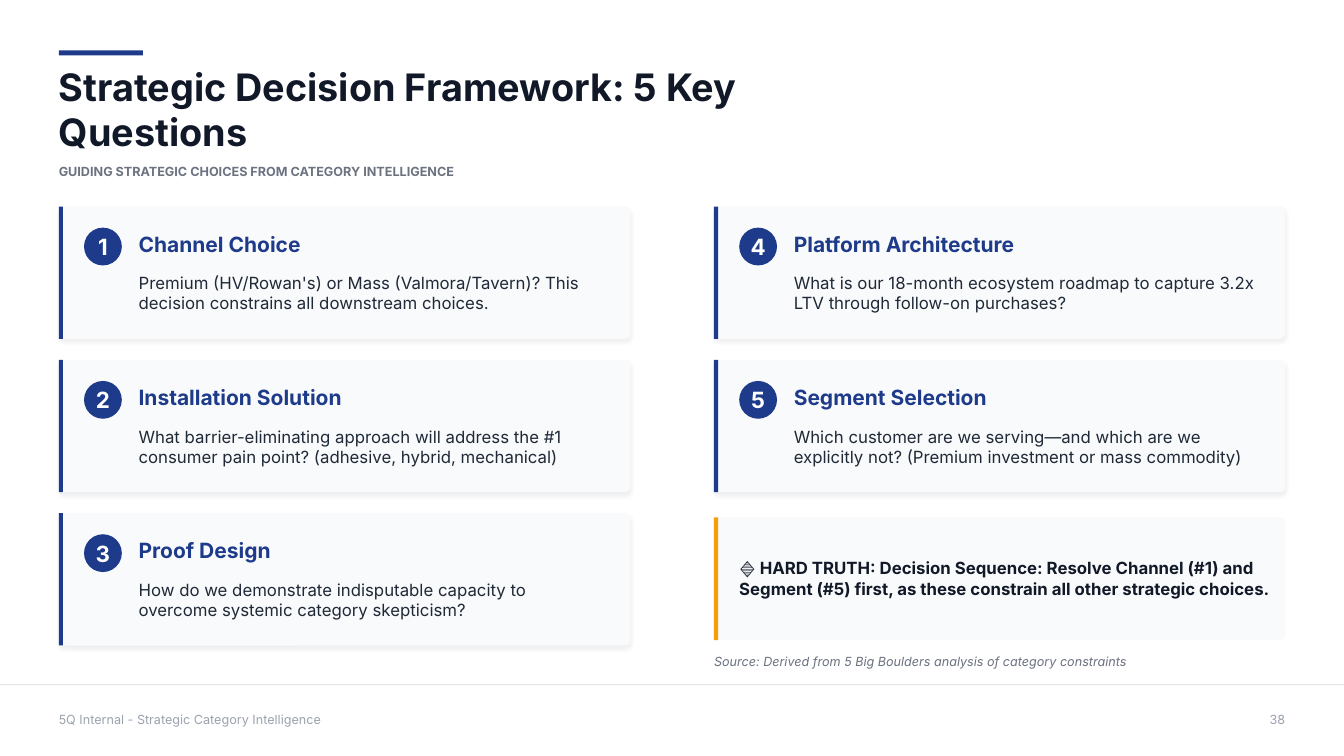
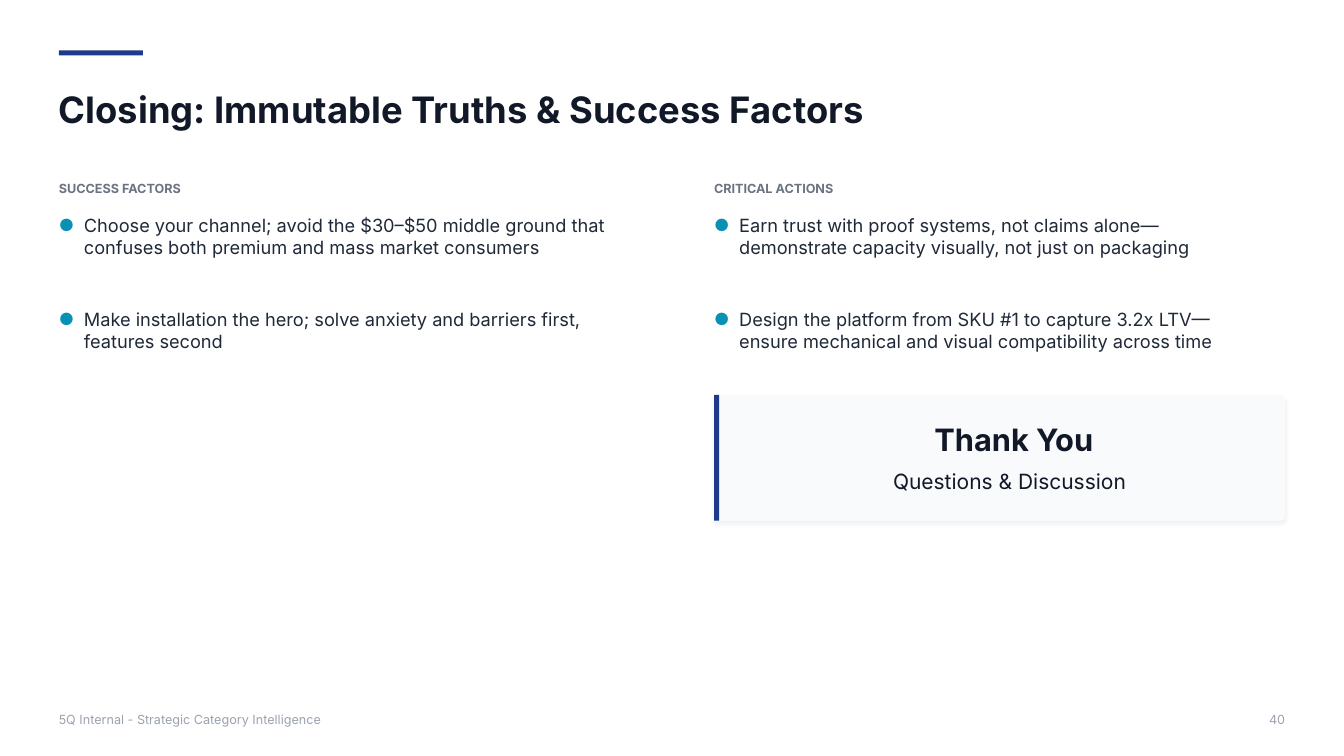
from dataclasses import dataclass

from lxml.etree import SubElement
from pptx import Presentation
from pptx.dml.color import RGBColor
from pptx.enum.shapes import MSO_SHAPE
from pptx.enum.text import MSO_ANCHOR, MSO_AUTO_SIZE, PP_ALIGN
from pptx.oxml.ns import qn
from pptx.presentation import Presentation as Deck
from pptx.shapes.autoshape import Shape
from pptx.slide import Slide
from pptx.text.text import TextFrame
from pptx.util import Emu, Inches, Pt

NAVY = RGBColor(0x1E, 0x3A, 0x8A)
INK = RGBColor(0x11, 0x18, 0x27)
BODY = RGBColor(0x1F, 0x29, 0x37)
MUTED = RGBColor(0x6B, 0x72, 0x80)
PALE = RGBColor(0x9C, 0xA3, 0xAF)
PANEL = RGBColor(0xF9, 0xFA, 0xFB)
RULE = RGBColor(0xE5, 0xE7, 0xEB)
AMBER = RGBColor(0xF5, 0x9E, 0x0B)
TEAL = RGBColor(0x08, 0x91, 0xB2)
WHITE = RGBColor(0xFF, 0xFF, 0xFF)

FONT = "Inter"
FOOTER = "5Q Internal - Strategic Category Intelligence"
GRID_COLUMNS, GRID_ROWS = 160, 90
UNIT = Inches(7.5) / GRID_ROWS
LEFT, RIGHT = 7, 85
COLUMN_WIDTH = 68
CARD_TOP, CARD_HEIGHT, CARD_PITCH = 24.6, 15.75, 18.25
CARDS_PER_COLUMN = 3


@dataclass(frozen=True)
class Area:
    left: float
    top: float
    width: float
    height: float

    def emu(self) -> tuple[Emu, Emu, Emu, Emu]:
        left, top, width, height = (
            Emu(round(length * UNIT))
            for length in (self.left, self.top, self.width, self.height)
        )
        return left, top, width, height


@dataclass(frozen=True)
class Style:
    size: float
    color: RGBColor
    bold: bool = False
    italic: bool = False
    align: PP_ALIGN = PP_ALIGN.LEFT


@dataclass(frozen=True)
class Question:
    heading: str
    detail: str


@dataclass(frozen=True)
class BulletColumn:
    left: float
    width: float
    heading: str
    points: tuple[str, ...]


LABEL = Style(9, MUTED, bold=True)
SOURCE = Style(9, MUTED, italic=True)
FOOTER_LEFT = Style(9, PALE)
FOOTER_RIGHT = Style(9, PALE, align=PP_ALIGN.RIGHT)
BADGE = Style(16, WHITE, bold=True, align=PP_ALIGN.CENTER)
HEADING = Style(15, NAVY, bold=True)
DETAIL = Style(12, BODY)
POINT = Style(13, BODY)
CALLOUT = Style(12, INK, bold=True)
THANKS = Style(22, INK, bold=True, align=PP_ALIGN.CENTER)
INVITATION = Style(15, INK, align=PP_ALIGN.CENTER)

QUESTIONS = (
    Question("Channel Choice",
             "Premium (HV/Rowan's) or Mass (Valmora/Tavern)? This decision "
             "constrains all downstream choices."),
    Question("Installation Solution",
             "What barrier-eliminating approach will address the #1 consumer "
             "pain point? (adhesive, hybrid, mechanical)"),
    Question("Proof Design",
             "How do we demonstrate indisputable capacity to overcome "
             "systemic category skepticism?"),
    Question("Platform Architecture",
             "What is our 18-month ecosystem roadmap to capture 3.2x LTV "
             "through follow-on purchases?"),
    Question("Segment Selection",
             "Which customer are we serving—and which are we explicitly not? "
             "(Premium investment or mass commodity)"),
)

BULLET_COLUMNS = (
    BulletColumn(LEFT, 67, "SUCCESS FACTORS", (
        "Choose your channel; avoid the $30–$50 middle ground that confuses "
        "both premium and mass market consumers",
        "Make installation the hero; solve anxiety and barriers first, "
        "features second",
    )),
    BulletColumn(RIGHT, 62, "CRITICAL ACTIONS", (
        "Earn trust with proof systems, not claims alone—demonstrate "
        "capacity visually, not just on packaging",
        "Design the platform from SKU #1 to capture 3.2x LTV—ensure "
        "mechanical and visual compatibility across time",
    )),
)


def write(frame: TextFrame, texts: tuple[str, ...], style: Style) -> None:
    frame.word_wrap = True
    frame.auto_size = MSO_AUTO_SIZE.NONE
    frame.vertical_anchor = MSO_ANCHOR.MIDDLE
    frame.margin_left = frame.margin_right = 0
    frame.margin_top = frame.margin_bottom = 0
    for index, text in enumerate(texts):
        para = frame.add_paragraph() if index else frame.paragraphs[0]
        para.alignment = style.align
        span = para.add_run()
        span.text = text
        span.font.name = FONT
        span.font.size = Pt(style.size)
        span.font.bold = style.bold
        span.font.italic = style.italic
        span.font.color.rgb = style.color


def add_text(page: Slide, area: Area, style: Style, *texts: str) -> TextFrame:
    box = page.shapes.add_textbox(*area.emu())
    write(box.text_frame, texts, style)
    return box.text_frame


def add_block(page: Slide, area: Area, fill: RGBColor,
              kind: MSO_SHAPE = MSO_SHAPE.RECTANGLE) -> Shape:
    block = page.shapes.add_shape(kind, *area.emu())
    block.shadow.inherit = False
    block.fill.solid()
    block.fill.fore_color.rgb = fill
    block.line.fill.background()
    return block


def add_soft_shadow(block: Shape) -> None:
    effects = block.element.spPr.find(qn("a:effectLst"))
    shadow = SubElement(effects, qn("a:outerShdw"), blurRad=str(Pt(3)),
                        dist=str(Pt(2)), dir="5400000", rotWithShape="0")
    color = SubElement(shadow, qn("a:srgbClr"), val="000000")
    SubElement(color, qn("a:alpha"), val="5000")


def add_panel(page: Slide, area: Area, accent: RGBColor, stripe: float = 0.5,
              raised: bool = True) -> None:
    panel = add_block(page, area, PANEL, MSO_SHAPE.ROUNDED_RECTANGLE)
    panel.adjustments[0] = 0.04
    if raised:
        add_soft_shadow(panel)
    add_block(page, Area(area.left, area.top, stripe, area.height), accent)


def add_page(deck: Deck, title: str, title_size: float, title_width: float,
             number: int) -> Slide:
    page = deck.slides.add_slide(deck.slide_layouts[5])
    add_block(page, Area(LEFT, 6, 10, 0.6), NAVY)
    heading = page.shapes.title
    area = Area(LEFT, 10.2, title_width, 5.5)
    heading.left, heading.top, heading.width, heading.height = area.emu()
    write(heading.text_frame, (title,), Style(title_size, INK, bold=True))
    add_text(page, Area(LEFT, 84.7, 60, 2), FOOTER_LEFT, FOOTER)
    add_text(page, Area(RIGHT + COLUMN_WIDTH - 6, 84.7, 6, 2), FOOTER_RIGHT,
             str(number))
    return page


def add_question(page: Slide, index: int, question: Question) -> None:
    column, row = divmod(index, CARDS_PER_COLUMN)
    left = (LEFT, RIGHT)[column]
    top = CARD_TOP + row * CARD_PITCH
    add_panel(page, Area(left, top, COLUMN_WIDTH, CARD_HEIGHT), NAVY)
    badge = add_block(page, Area(left + 3, top + 2.5, 4.5, 4.5), NAVY,
                      MSO_SHAPE.OVAL)
    write(badge.text_frame, (str(index + 1),), BADGE)
    add_text(page, Area(left + 9.5, top + 2.9, 55, 3), HEADING,
             question.heading)
    add_text(page, Area(left + 9.5, top + 7.55, 55, 5.5), DETAIL,
             question.detail)


def add_bullets(page: Slide, column: BulletColumn) -> None:
    add_text(page, Area(column.left, 21.5, column.width, 1.9), LABEL,
             column.heading)
    frame = add_text(page, Area(column.left, 25, column.width, 17.5), POINT,
                     *column.points)
    for index, para in enumerate(frame.paragraphs):
        if index:
            para.space_before = Pt(36)
        settings = para._p.get_or_add_pPr()
        settings.set("marL", str(Inches(0.25)))
        settings.set("indent", str(-Inches(0.25)))
        color = SubElement(settings, qn("a:buClr"))
        SubElement(color, qn("a:srgbClr"), val=str(TEAL))
        SubElement(settings, qn("a:buSzPct"), val="92000")
        SubElement(settings, qn("a:buFont"), typeface=FONT)
        SubElement(settings, qn("a:buChar"), char="●")


def build_questions(deck: Deck) -> None:
    page = add_page(deck, "Strategic Decision Framework: 5 Key Questions",
                    27, 103.7, 38)
    add_text(page, Area(LEFT, 19.4, 60, 2), LABEL,
             "GUIDING STRATEGIC CHOICES FROM CATEGORY INTELLIGENCE")
    for index, question in enumerate(QUESTIONS):
        add_question(page, index, question)
    add_panel(page, Area(RIGHT, 61.6, COLUMN_WIDTH, 14.6), AMBER, raised=False)
    add_text(page, Area(RIGHT + 3, 64.4, 63.5, 8.9), CALLOUT,
             "🔷 HARD TRUTH: Decision Sequence: Resolve Channel (#1) and "
             "Segment (#5) first, as these constrain all other strategic "
             "choices.")
    add_text(page, Area(RIGHT, 77.8, COLUMN_WIDTH, 2), SOURCE,
             "Source: Derived from 5 Big Boulders analysis of category "
             "constraints")
    add_block(page, Area(0, 81.45, GRID_COLUMNS, 0.12), RULE)


def build_closing(deck: Deck) -> None:
    page = add_page(deck, "Closing: Immutable Truths & Success Factors",
                    26, 120, 40)
    for column in BULLET_COLUMNS:
        add_bullets(page, column)
    add_panel(page, Area(RIGHT, 47, COLUMN_WIDTH, 15), NAVY, stripe=0.6)
    add_text(page, Area(105.7, 50, 30, 4.6), THANKS, "Thank You")
    add_text(page, Area(105.2, 55.8, 30, 3), INVITATION,
             "Questions & Discussion")


def main() -> None:
    deck = Presentation()
    deck.slide_width = Emu(round(GRID_COLUMNS * UNIT))
    deck.slide_height = Emu(round(GRID_ROWS * UNIT))
    build_questions(deck)
    build_closing(deck)
    deck.save("out.pptx")


if __name__ == "__main__":
    main()
